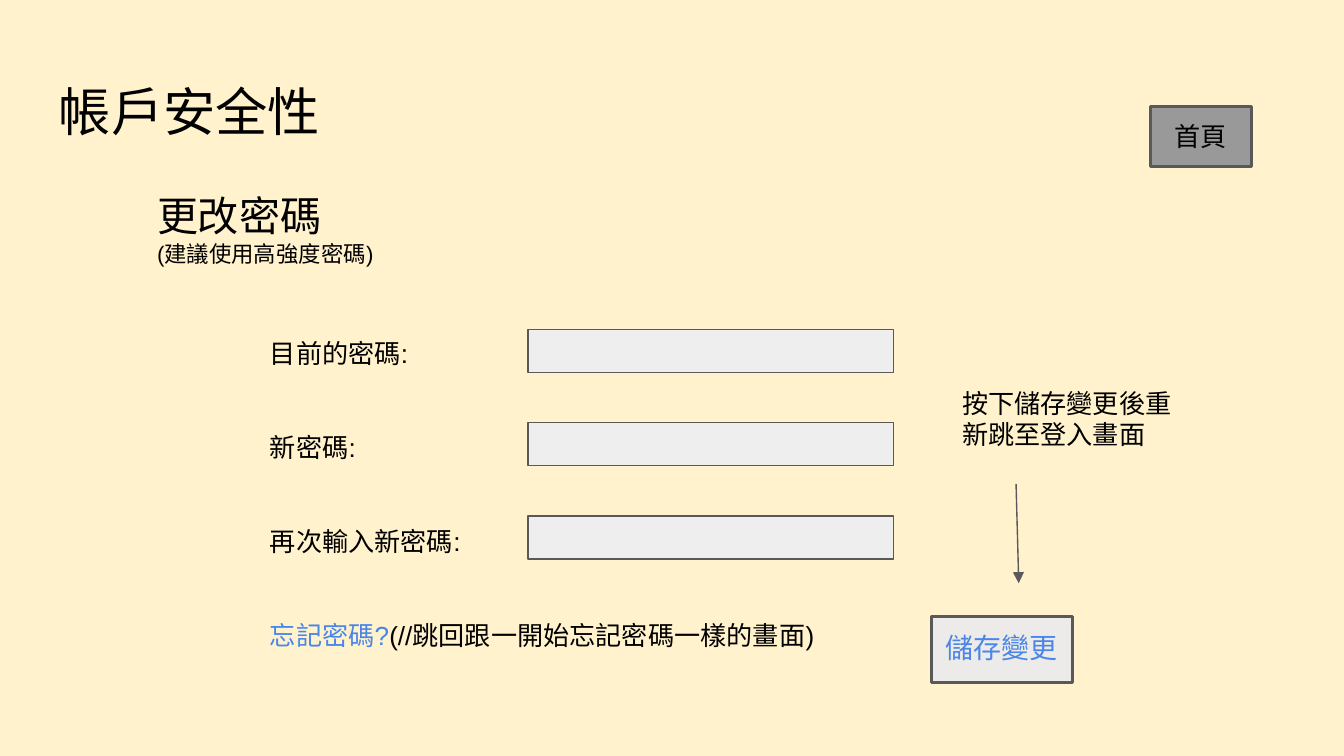
from dataclasses import dataclass

from lxml import etree
from pptx import Presentation
from pptx.dml.color import RGBColor
from pptx.enum import shapes, text
from pptx.oxml import ns
from pptx.util import Inches, Pt

COLORS = {
    "background": "FFF2CC",
    "ink": "000000",
    "link": "4A86E8",
    "outline": "595959",
    "field": "EEEEEE",
    "home": "999999",
    "save": "EDEBE9",
}
FONT = "Arial"
FIELD_TOP, FIELD_PITCH = 2.45, 0.695
LABEL_GAP = 33.6  # points between form labels


@dataclass
class Run:
    words: str
    size: float
    color: str = "ink"


@dataclass
class Box:
    left: float
    top: float
    width: float
    height: float

    def lengths(self) -> list:
        return [Inches(v) for v in (self.left, self.top, self.width, self.height)]


@dataclass
class Button:
    box: Box
    fill: str
    label: Run
    anchor: text.MSO_ANCHOR


def rgb(name: str) -> RGBColor:
    return RGBColor.from_string(COLORS[name])


def write(frame, paragraphs: list[list[Run]], gap: float = 0) -> None:
    """Fill a text frame, with gap points before each paragraph but the first."""
    frame.word_wrap = True
    frame.margin_left = frame.margin_right = Inches(0.1)
    frame.margin_top = frame.margin_bottom = Inches(0.1)
    for index, runs in enumerate(paragraphs):
        paragraph = frame.add_paragraph() if index else frame.paragraphs[0]
        paragraph.space_before = Pt(gap if index else 0)
        for part in runs:
            run = paragraph.add_run()
            run.text = part.words
            run.font.name = FONT
            run.font.size = Pt(part.size)
            run.font.color.rgb = rgb(part.color)


def add_text(slide, box: Box, paragraphs: list[list[Run]], gap: float = 0) -> None:
    write(slide.shapes.add_textbox(*box.lengths()).text_frame, paragraphs, gap)


def add_rectangle(slide, box: Box, fill: str, line_width: float):
    rectangle = slide.shapes.add_shape(shapes.MSO_SHAPE.RECTANGLE, *box.lengths())
    rectangle.shadow.inherit = False
    rectangle.fill.solid()
    rectangle.fill.fore_color.rgb = rgb(fill)
    rectangle.line.color.rgb = rgb("outline")
    rectangle.line.width = Pt(line_width)
    return rectangle


def add_button(slide, button: Button) -> None:
    frame = add_rectangle(slide, button.box, button.fill, 1.5).text_frame
    write(frame, [[button.label]])
    frame.vertical_anchor = button.anchor
    frame.paragraphs[0].alignment = text.PP_ALIGN.CENTER


def add_arrow(slide, start: tuple[float, float], end: tuple[float, float]) -> None:
    arrow = slide.shapes.add_connector(
        shapes.MSO_CONNECTOR.STRAIGHT, *(Inches(v) for v in start + end)
    )
    arrow.line.color.rgb = rgb("outline")
    arrow.line.width = Pt(0.75)
    etree.SubElement(arrow.line._get_or_add_ln(), ns.qn("a:tailEnd"), type="triangle")
    etree.SubElement(arrow._element.spPr, ns.qn("a:effectLst"))


def main() -> None:
    deck = Presentation()
    deck.slide_width = Inches(10)
    deck.slide_height = deck.slide_width * 9 // 16
    slide = deck.slides.add_slide(deck.slide_layouts[6])
    slide.background.fill.solid()
    slide.background.fill.fore_color.rgb = rgb("background")

    add_text(slide, Box(0.34, 0.49, 9.32, 0.63), [[Run("帳戶安全性", 28)]])
    add_text(
        slide,
        Box(1.07, 1.32, 3.21, 0.93),
        [[Run("更改密碼", 22)], [Run("(建議使用高強度密碼)", 12)]],
    )

    field_labels = ["目前的密碼:", "新密碼:", "再次輸入新密碼:"]
    forgot_password = [
        Run("忘記密碼?", 14, "link"),
        Run("(//跳回跟一開始忘記密碼一樣的畫面)", 14),
    ]
    form = [[Run(label, 14)] for label in field_labels] + [forgot_password]
    add_text(slide, Box(1.91, 2.41, 6.22, 3.17), form, LABEL_GAP)
    for row in range(len(field_labels)):
        field = Box(3.93, FIELD_TOP + row * FIELD_PITCH, 2.72, 0.32)
        add_rectangle(slide, field, "field", 0.75)

    buttons = [
        Button(Box(8.56, 0.79, 0.75, 0.45), "home",
               Run("首頁", 14), text.MSO_ANCHOR.MIDDLE),
        Button(Box(6.93, 4.59, 1.05, 0.49), "save",
               Run("儲存變更", 15, "link"), text.MSO_ANCHOR.TOP),
    ]
    for button in buttons:
        add_button(slide, button)

    add_arrow(slide, (7.56, 3.6), (7.58, 4.34))
    add_text(
        slide,
        Box(7.06, 2.78, 1.78, 0.68),
        [[Run("按下儲存變更後重新跳至登入畫面", 14)]],
    )
    deck.save("out.pptx")


if __name__ == "__main__":
    main()
